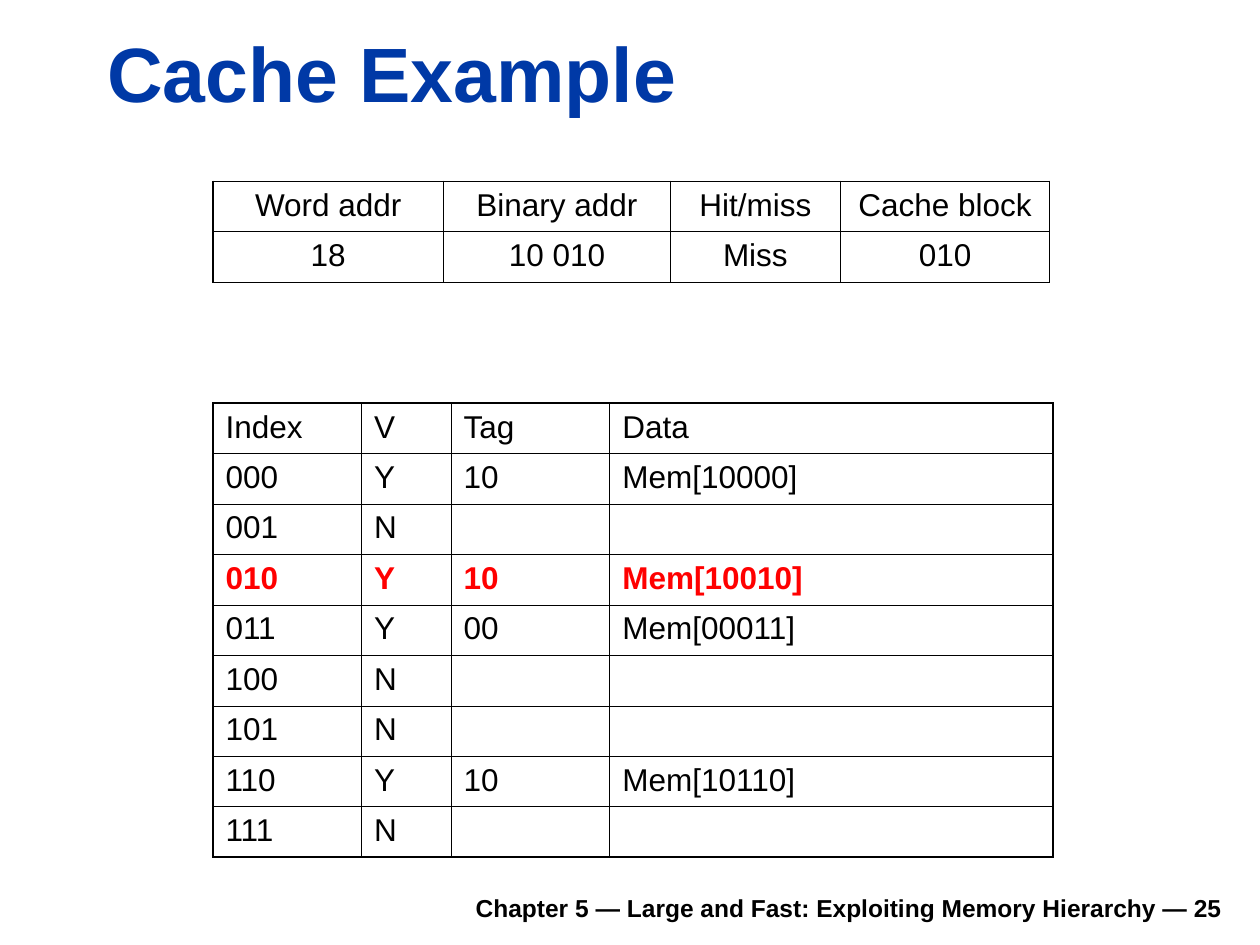
"""Build the Cache Example slide: one memory access and the resulting cache state."""
import pptx
import pptx.dml.color
import pptx.enum.text
import pptx.oxml
import pptx.oxml.ns
import pptx.util

Inches = pptx.util.Inches
ALIGN = pptx.enum.text.PP_ALIGN
BOTTOM = pptx.enum.text.MSO_ANCHOR.BOTTOM

TITLE = "Cache Example"
FOOTER = "Chapter 5 — Large and Fast: Exploiting Memory Hierarchy — 25"
ACCESS = [
    ("Word addr", "Binary addr", "Hit/miss", "Cache block"),
    ("18", "10 010", "Miss", "010"),
]
CACHE = [
    ("Index", "V", "Tag", "Data"),
    ("000", "Y", "10", "Mem[10000]"),
    ("001", "N", "", ""),
    ("010", "Y", "10", "Mem[10010]"),
    ("011", "Y", "00", "Mem[00011]"),
    ("100", "N", "", ""),
    ("101", "N", "", ""),
    ("110", "Y", "10", "Mem[10110]"),
    ("111", "N", "", ""),
]
UPDATED_ROW = 3
ACCESS_COLS = (1.83, 1.8, 1.35, 1.66)
CACHE_COLS = (1.18, 0.71, 1.26, 3.52)
TABLE_LEFT, ROW_HEIGHT = 1.69, 0.4

THEME = {
    "font": "Arial",
    "title": "0039A6", "text": "000000", "updated": "FF0000", "border": "000000",
    "title_size": 44, "table_size": 18, "footer_size": 14,
    "outer": 1.08, "header": 0.75, "inner": 0.45,
}


def write(tf, text, size="table_size", color="text", bold=False, align=ALIGN.LEFT):
    p = tf.paragraphs[0]
    p.alignment = align
    if not text:
        return
    r = p.add_run()
    r.text = text
    r.font.name = THEME["font"]
    r.font.size = pptx.util.Pt(THEME[size])
    r.font.bold = bold
    r.font.color.rgb = pptx.dml.color.RGBColor.from_string(THEME[color])


def place(sp, left, top, width, height):
    sp.left, sp.top, sp.width, sp.height = map(Inches, (left, top, width, height))


def set_borders(cell, **widths):
    pr = cell._tc.get_or_add_tcPr()
    for i, side in enumerate("LRTB"):
        width = pptx.util.Pt(THEME[widths[side]])
        pr.insert(i, pptx.oxml.parse_xml(
            f'<a:ln{side} {pptx.oxml.ns.nsdecls("a")} w="{width}"><a:solidFill>'
            f'<a:srgbClr val="{THEME["border"]}"/></a:solidFill></a:ln{side}>'))


def edge(i, count):
    if i in (0, count):
        return "outer"
    return "inner"


def row_edge(i, count):
    return "header" if i == 1 else edge(i, count)


def add_grid(slide, rows, cols, top, align, updated=None):
    n, m = len(rows), len(cols)
    frame = slide.shapes.add_table(
        n, m, Inches(TABLE_LEFT), Inches(top), Inches(sum(cols)), Inches(n * ROW_HEIGHT))
    table = frame.table
    table.first_row = table.horz_banding = False
    for c, width in enumerate(cols):
        table.columns[c].width = Inches(width)
    for r, values in enumerate(rows):
        table.rows[r].height = Inches(ROW_HEIGHT)
        hit = r == updated
        for c, value in enumerate(values):
            cell = table.cell(r, c)
            cell.fill.background()
            write(cell.text_frame, value, color="updated" if hit else "text",
                  bold=hit, align=align)
            set_borders(cell, L=edge(c, m), R=edge(c + 1, m),
                        T=row_edge(r, n), B=row_edge(r + 1, n))


def main():
    prs = pptx.Presentation()
    prs.slide_width, prs.slide_height = Inches(10), Inches(7.5)
    slide = prs.slides.add_slide(prs.slide_layouts[5])

    footer = slide.shapes.add_textbox(0, 0, 0, 0)
    place(footer, 1.85, 6.98, 7.95, 0.39)
    footer.text_frame.word_wrap = True
    footer.text_frame.vertical_anchor = BOTTOM
    write(footer.text_frame, FOOTER, size="footer_size", bold=True, align=ALIGN.RIGHT)

    title = slide.shapes.title
    place(title, 0.75, 0.16, 9.03, 0.83)
    title.text_frame.vertical_anchor = BOTTOM
    write(title.text_frame, TITLE, size="title_size", color="title", bold=True)

    add_grid(slide, CACHE, CACHE_COLS, 3.2, ALIGN.LEFT, updated=UPDATED_ROW)
    add_grid(slide, ACCESS, ACCESS_COLS, 1.44, ALIGN.CENTER)
    prs.save("out.pptx")


if __name__ == "__main__":
    main()
